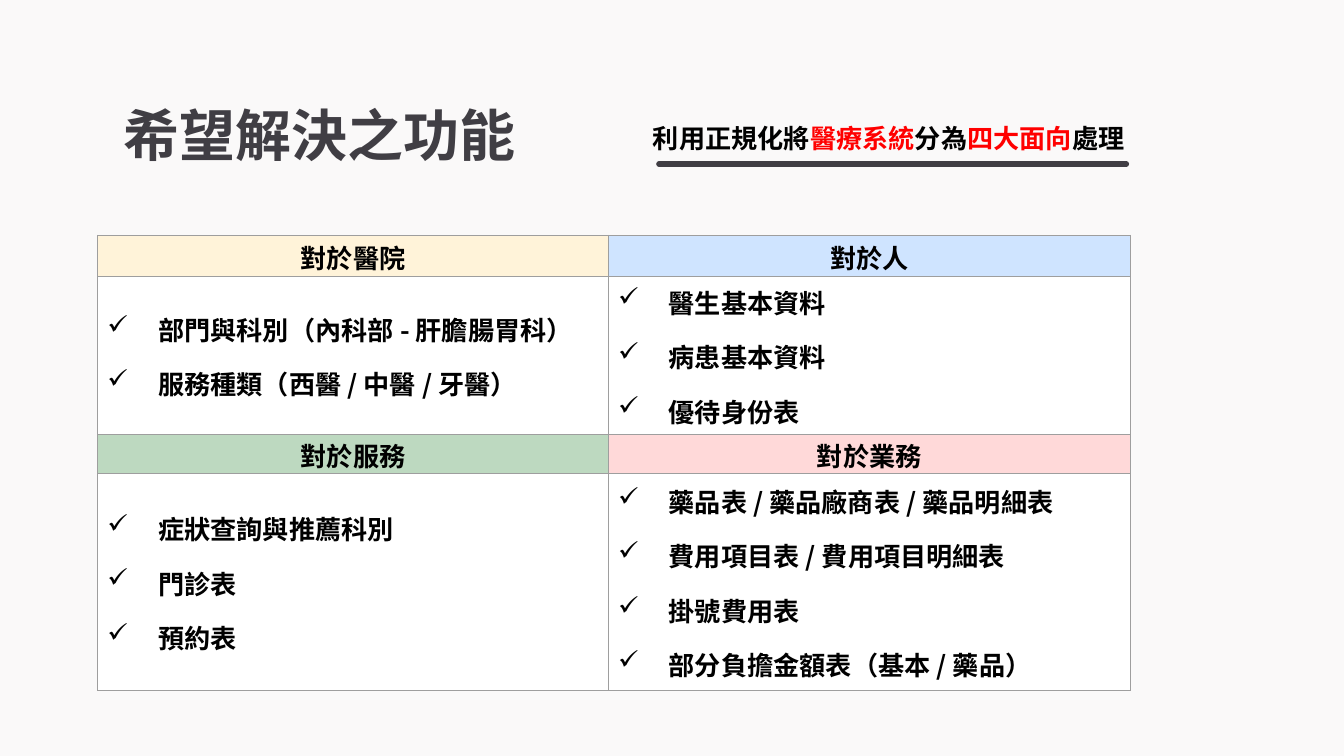
from lxml import etree
from pptx import Presentation
from pptx.dml.color import RGBColor
from pptx.enum.shapes import MSO_CONNECTOR
from pptx.enum.text import MSO_ANCHOR, MSO_AUTO_SIZE, PP_ALIGN
from pptx.oxml.ns import qn
from pptx.util import Cm, Pt

MIDDLE = MSO_ANCHOR.MIDDLE
LEFT, CENTER, JUSTIFY = PP_ALIGN.LEFT, PP_ALIGN.CENTER, PP_ALIGN.JUSTIFY

BACKGROUND = RGBColor(0xFA, 0xF9, 0xF9)
DARK = RGBColor(0x40, 0x3E, 0x44)
BLACK = RGBColor(0, 0, 0)
RED = RGBColor(0xFF, 0, 0)
WHITE = RGBColor(0xFF, 0xFF, 0xFF)
BORDER = RGBColor(0x9E, 0x9E, 0x9E)
CREAM = RGBColor(0xFF, 0xF3, 0xD9)
BLUE = RGBColor(0xCF, 0xE4, 0xFF)
GREEN = RGBColor(0xBD, 0xD9, 0xC0)
PINK = RGBColor(0xFF, 0xD9, 0xD9)
CJK = "Noto Sans CJK SC"

TITLE = "希望解決之功能"
SUBTITLE = [("利用正規化將", BLACK), ("醫療系統", RED), ("分為", BLACK),
            ("四大面向", RED), ("處理", BLACK)]
# Heading, heading fill, items; two aspects side by side
ASPECTS = [
    ("對於醫院", CREAM, ["部門與科別（內科部 - 肝膽腸胃科）",
                     "服務種類（西醫 / 中醫 / 牙醫）"]),
    ("對於人", BLUE, ["醫生基本資料", "病患基本資料", "優待身份表"]),
    ("對於服務", GREEN, ["症狀查詢與推薦科別", "門診表", "預約表"]),
    ("對於業務", PINK, ["藥品表 / 藥品廠商表 / 藥品明細表",
                    "費用項目表 / 費用項目明細表",
                    "掛號費用表",
                    "部分負擔金額表（基本 / 藥品）"]),
]
COL_WIDTHS = [9.65, 9.86]
ROW_HEIGHTS = [0.78, 2.98, 0.74, 4.1]


def format_run(r, size, color, latin=CJK):
    r.font.size = Pt(size)
    r.font.bold = True
    r.font.name = latin
    r.font.color.rgb = color
    etree.SubElement(r._r.get_or_add_rPr(), qn("a:ea"), typeface=CJK)


def format_paragraph(p, align):
    p.alignment = align
    p.line_spacing = 1.04
    p.space_after = Pt(8)


def add_check_bullet(p):
    pPr = p._p.get_or_add_pPr()
    pPr.set("marL", str(Cm(0.96)))
    pPr.set("indent", str(-Cm(0.96)))
    color = etree.SubElement(pPr, qn("a:buClr"))
    etree.SubElement(color, qn("a:srgbClr"), val=str(BLACK))
    etree.SubElement(pPr, qn("a:buChar"), char="✓")


def add_borders(cell):
    tcPr = cell._tc.get_or_add_tcPr()
    for side in ("lnL", "lnR", "lnT", "lnB"):
        ln = etree.SubElement(tcPr, qn(f"a:{side}"), w=str(Pt(0.75)))
        fill = etree.SubElement(ln, qn("a:solidFill"))
        etree.SubElement(fill, qn("a:srgbClr"), val=str(BORDER))


def fill_cell(cell, lines, color, align, bulleted=False):
    add_borders(cell)
    cell.fill.solid()
    cell.fill.fore_color.rgb = color
    cell.vertical_anchor = MIDDLE
    cell.margin_left = cell.margin_right = Cm(0.18)
    cell.margin_top = cell.margin_bottom = 0
    tf = cell.text_frame
    tf.text = "\n".join(lines)
    for p in tf.paragraphs:
        if bulleted:
            add_check_bullet(p)
        format_paragraph(p, align)
        format_run(p.runs[0], 14, BLACK)


def add_title(slide):
    title = slide.shapes.title
    title.left, title.top, title.width, title.height = (
        Cm(2.08), Cm(1.73), Cm(8.38), Cm(1.6))
    tf = title.text_frame
    tf.text = TITLE
    tf.auto_size = MSO_AUTO_SIZE.NONE
    tf.vertical_anchor = MIDDLE
    tf.margin_left = tf.margin_right = Cm(0.25)
    tf.margin_top = tf.margin_bottom = Cm(0.25)
    p = tf.paragraphs[0]
    p.alignment = LEFT
    format_run(p.runs[0], 30, DARK)


def add_subtitle(slide):
    box = slide.shapes.add_textbox(Cm(11.25), Cm(2.16), Cm(10.57), Cm(0.86))
    tf = box.text_frame
    tf.word_wrap = True
    tf.auto_size = MSO_AUTO_SIZE.SHAPE_TO_FIT_TEXT
    p = tf.paragraphs[0]
    p._p.get_or_add_pPr().set("marL", str(Cm(0.84)))
    format_paragraph(p, LEFT)
    for text, color in SUBTITLE:
        r = p.add_run()
        r.text = text
        format_run(r, 14, color, "Calibri")

    y = Cm(3.1)
    rule = slide.shapes.add_connector(
        MSO_CONNECTOR.STRAIGHT, Cm(12.45), y, Cm(21.29), y)
    rule.line.color.rgb = DARK
    rule.line.width = Pt(2.75)
    rule.line._get_or_add_ln().set("cap", "rnd")
    etree.SubElement(rule._element.spPr, qn("a:effectLst"))


def add_aspect_table(slide):
    table = slide.shapes.add_table(
        len(ROW_HEIGHTS), len(COL_WIDTHS), Cm(1.85), Cm(4.45),
        Cm(sum(COL_WIDTHS)), Cm(sum(ROW_HEIGHTS))).table
    table.first_row = table.horz_banding = False
    for column, width in zip(table.columns, COL_WIDTHS):
        column.width = Cm(width)
    for row, height in zip(table.rows, ROW_HEIGHTS):
        row.height = Cm(height)
    for i, (heading, color, items) in enumerate(ASPECTS):
        pair, col = divmod(i, len(COL_WIDTHS))
        fill_cell(table.cell(2 * pair, col), [heading], color, CENTER)
        fill_cell(table.cell(2 * pair + 1, col), items, WHITE, JUSTIFY, True)


def main():
    prs = Presentation()
    prs.slide_width, prs.slide_height = Cm(25.4), Cm(14.29)
    slide = prs.slides.add_slide(prs.slide_layouts[5])
    slide.background.fill.solid()
    slide.background.fill.fore_color.rgb = BACKGROUND
    add_title(slide)
    add_subtitle(slide)
    add_aspect_table(slide)
    prs.save("out.pptx")


if __name__ == "__main__":
    main()
